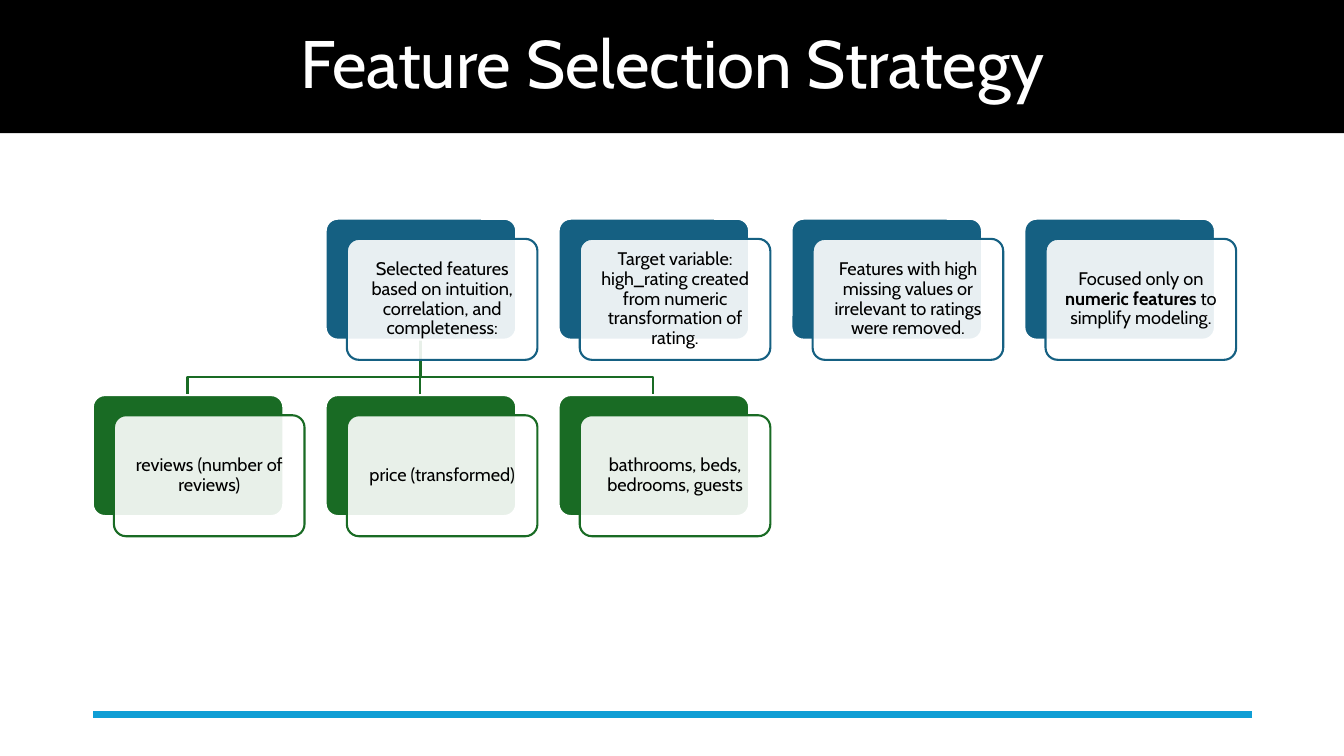
from lxml import etree
from pptx import Presentation
from pptx.dml.color import RGBColor
from pptx.enum.shapes import MSO_CONNECTOR as Connector, MSO_SHAPE as Shape
from pptx.enum.text import MSO_ANCHOR as Anchor, MSO_AUTO_SIZE as AutoSize, PP_ALIGN as Align
from pptx.oxml.ns import qn
from pptx.util import Pt

PX = 9144  # EMU per px, 100 px to the inch
FONT = "Cabin"
BLACK = RGBColor(0x00, 0x00, 0x00)
WHITE = RGBColor(0xFF, 0xFF, 0xFF)
BLUE = RGBColor(0x15, 0x60, 0x82)
GREEN = RGBColor(0x19, 0x6B, 0x24)
CYAN = RGBColor(0x0F, 0x9E, 0xD5)

# Content: each card is a list of (text, bold) runs
TITLE = "Feature Selection Strategy"
STRATEGIES = [
    [("Selected features based on intuition, correlation, and completeness:", False)],
    [("Target variable: high_rating created from numeric transformation of rating.", False)],
    [("Features with high missing values or irrelevant to ratings were removed.", False)],
    [("Focused only on ", False), ("numeric features", True), (" to simplify modeling.", False)],
]
FEATURES = [
    [("reviews (number of reviews)", False)],
    [("price (transformed)", False)],
    [("bathrooms, beds, bedrooms, guests", False)],
]

# Layout in px
LEFT, PITCH = 92, 231
CARD_W, CARD_H = 189, 120
SHIFT_X, SHIFT_Y = 21, 20
STRATEGY_TOP, FEATURE_TOP = 217, 392
BEND_Y = 374
# (cards, first column, top, color)
ROWS = [(STRATEGIES, 1, STRATEGY_TOP, BLUE), (FEATURES, 0, FEATURE_TOP, GREEN)]


def add_run(para, text, size, color, bold=False):
    span = para.add_run()
    span.text = text
    span.font.name = FONT
    span.font.size = Pt(size)
    span.font.bold = bold
    span.font.color.rgb = color


def style_paragraph(para):
    para.alignment = Align.CENTER
    para.line_spacing = 0.9


def add_line(shapes, x1, y1, x2, y2, color, width):
    line = shapes.add_connector(Connector.STRAIGHT, x1 * PX, y1 * PX, x2 * PX, y2 * PX)
    line.line.color.rgb = color
    line.line.width = Pt(width)
    etree.SubElement(line._element.spPr, qn("a:effectLst"))


def add_elbow(shapes, start_x, end_x):
    builder = shapes.build_freeform(start_x, STRATEGY_TOP + CARD_H, scale=PX)
    builder.add_line_segments(
        [(start_x, BEND_Y), (end_x, BEND_Y), (end_x, FEATURE_TOP)], close=False)
    elbow = builder.convert_to_shape()
    elbow.shadow.inherit = False
    elbow.fill.background()
    elbow.line.color.rgb = GREEN
    elbow.line.width = Pt(1.5)


def add_plate(shapes, x, y, fill, outline):
    plate = shapes.add_shape(Shape.ROUNDED_RECTANGLE, x * PX, y * PX, CARD_W * PX, CARD_H * PX)
    plate.adjustments[0] = 0.1
    plate.shadow.inherit = False
    plate.fill.solid()
    plate.fill.fore_color.rgb = fill
    plate.line.color.rgb = outline
    plate.line.width = Pt(1.5)
    return plate


def add_card(shapes, x, y, color, runs):
    add_plate(shapes, x, y, color, WHITE)
    front = add_plate(shapes, x + SHIFT_X, y + SHIFT_Y, WHITE, color)
    tint = front._element.spPr.find(qn("a:solidFill"))[0]
    etree.SubElement(tint, qn("a:alpha"), val="90000")
    frame = front.text_frame
    frame.word_wrap = True
    frame.vertical_anchor = Anchor.MIDDLE
    frame.margin_left = frame.margin_right = frame.margin_top = frame.margin_bottom = 5 * PX
    para = frame.paragraphs[0]
    style_paragraph(para)
    for text, bold in runs:
        add_run(para, text, 13, BLACK, bold)


def main():
    deck = Presentation()
    deck.slide_width, deck.slide_height = 1333 * PX, 750 * PX
    page = deck.slides.add_slide(deck.slide_layouts[5])
    shapes = page.shapes

    # Title band
    title = shapes.title
    title.left, title.top, title.width, title.height = 0, 0, 1334 * PX, 132 * PX
    title.fill.solid()
    title.fill.fore_color.rgb = BLACK
    title.text_frame.auto_size = AutoSize.NONE
    title.text_frame.vertical_anchor = Anchor.MIDDLE
    para = title.text_frame.paragraphs[0]
    style_paragraph(para)
    add_run(para, TITLE, 48, WHITE)

    # Footer rule
    add_line(shapes, 1242, 709, 92, 709, CYAN, 4.5)

    # Branches from the first strategy to its features
    centers = [LEFT + column * PITCH + CARD_W // 2 for column in range(len(FEATURES))]
    parent = centers[1]
    for center in reversed(centers):
        if center == parent:
            add_line(shapes, parent, STRATEGY_TOP + CARD_H, parent, FEATURE_TOP, GREEN, 1.5)
        else:
            add_elbow(shapes, parent, center)

    # Cards
    for cards, first_column, top, color in ROWS:
        for column, runs in enumerate(cards, first_column):
            add_card(shapes, LEFT + column * PITCH, top, color, runs)

    deck.save("out.pptx")


if __name__ == "__main__":
    main()
